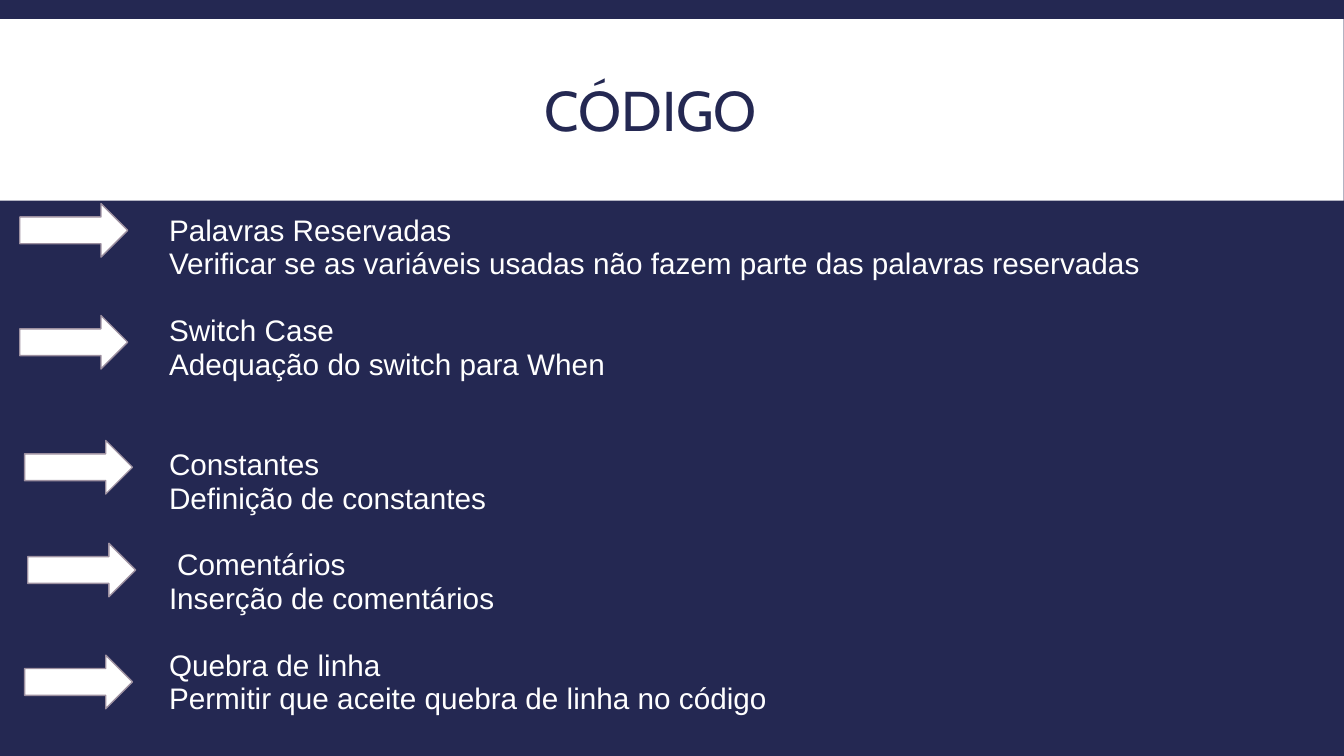
from pptx import Presentation
from pptx.dml.color import RGBColor
from pptx.enum.shapes import MSO_SHAPE
from pptx.enum.text import MSO_ANCHOR, PP_ALIGN
from pptx.util import Cm, Pt

NAVY, WHITE, GREY = "242852", "FFFFFF", "9D90A0"
LINE = 23.9  # height of one text line, in points

# Blank lines above, heading, explanation
TOPICS = [
    (0, "Palavras Reservadas",
     "Verificar se as variáveis usadas não fazem parte das palavras reservadas"),
    (1, "Switch Case", "Adequação do switch para When"),
    (2, "Constantes", "Definição de constantes"),
    (1, " Comentários", "Inserção de comentários"),
    (1, "Quebra de linha", "Permitir que aceite quebra de linha no código"),
]
# Left and top of each arrow, in cm
ARROWS = [(0.5, 5.13), (0.5, 7.95), (0.62, 11.1), (0.7, 13.69), (0.62, 16.51)]


def rgb(value):
    return RGBColor.from_string(value)


class SlideBuilder:
    title_font, body_font = "Cabin", "Arial"

    def __init__(self, prs):
        self.s = prs.slides.add_slide(prs.slide_layouts[6])

    def background(self, color):
        fill = self.s.background.fill
        fill.solid()
        fill.fore_color.rgb = rgb(color)

    def shape(self, kind, left, top, width, height, fill, line=None):
        sp = self.s.shapes.add_shape(kind, Cm(left), Cm(top), Cm(width), Cm(height))
        sp.shadow.inherit = False
        sp.fill.solid()
        sp.fill.fore_color.rgb = rgb(fill)
        if line:
            sp.line.color.rgb = rgb(line)
            sp.line.width = Pt(1)
        else:
            sp.line.fill.background()

    def text_box(self, left, top, width, height, inset_left=0, inset_right=0):
        sp = self.s.shapes.add_textbox(Cm(left), Cm(top), Cm(width), Cm(height))
        tf = sp.text_frame
        tf.word_wrap = True
        tf.margin_left, tf.margin_right = Cm(inset_left), Cm(inset_right)
        tf.margin_top = tf.margin_bottom = 0
        return tf

    def run(self, p, text, font, size, color):
        r = p.add_run()
        r.text = text
        r.font.name, r.font.size = font, Pt(size)
        r.font.color.rgb = rgb(color)

    def title(self, text):
        tf = self.text_box(3.35, 0.79, 27.18, 4.19, inset_right=1.07)
        tf.vertical_anchor = MSO_ANCHOR.MIDDLE
        p = tf.paragraphs[0]
        p.alignment, p.line_spacing = PP_ALIGN.CENTER, 0.85
        self.run(p, text, self.title_font, 40, NAVY)

    def topics(self, topics):
        tf = self.text_box(1.07, 5.39, 32.79, 13.66, inset_left=3.19)
        p = tf.paragraphs[0]
        for blanks, heading, detail in topics:
            for text, gap in ((heading, blanks), (detail, 0)):
                if p.runs:
                    p = tf.add_paragraph()
                p.line_spacing, p.space_before = Pt(LINE), Pt(gap * LINE)
                self.run(p, text, self.body_font, 21.2, WHITE)


def main():
    prs = Presentation()
    prs.slide_width, prs.slide_height = Cm(33.87), Cm(19.05)
    slide = SlideBuilder(prs)

    # Background and title band
    slide.background(NAVY)
    slide.shape(MSO_SHAPE.RECTANGLE, 0, 0.48, 33.86, 4.58, WHITE)
    slide.title("CÓDIGO")

    # Topics and their arrows
    slide.topics(TOPICS)
    for left, top in ARROWS:
        slide.shape(MSO_SHAPE.RIGHT_ARROW, left, top, 2.72, 1.35, WHITE, GREY)

    prs.save("out.pptx")


if __name__ == "__main__":
    main()
